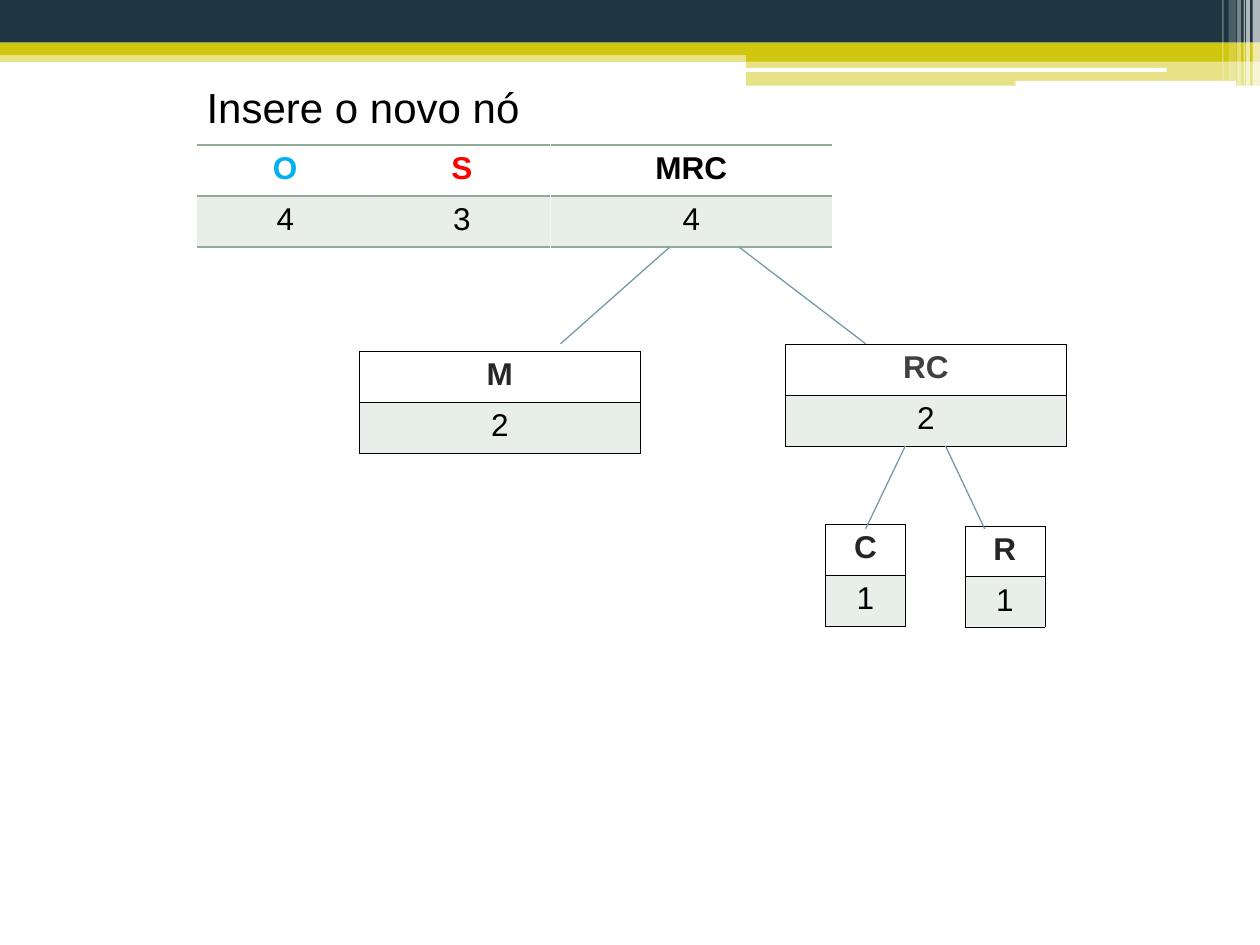
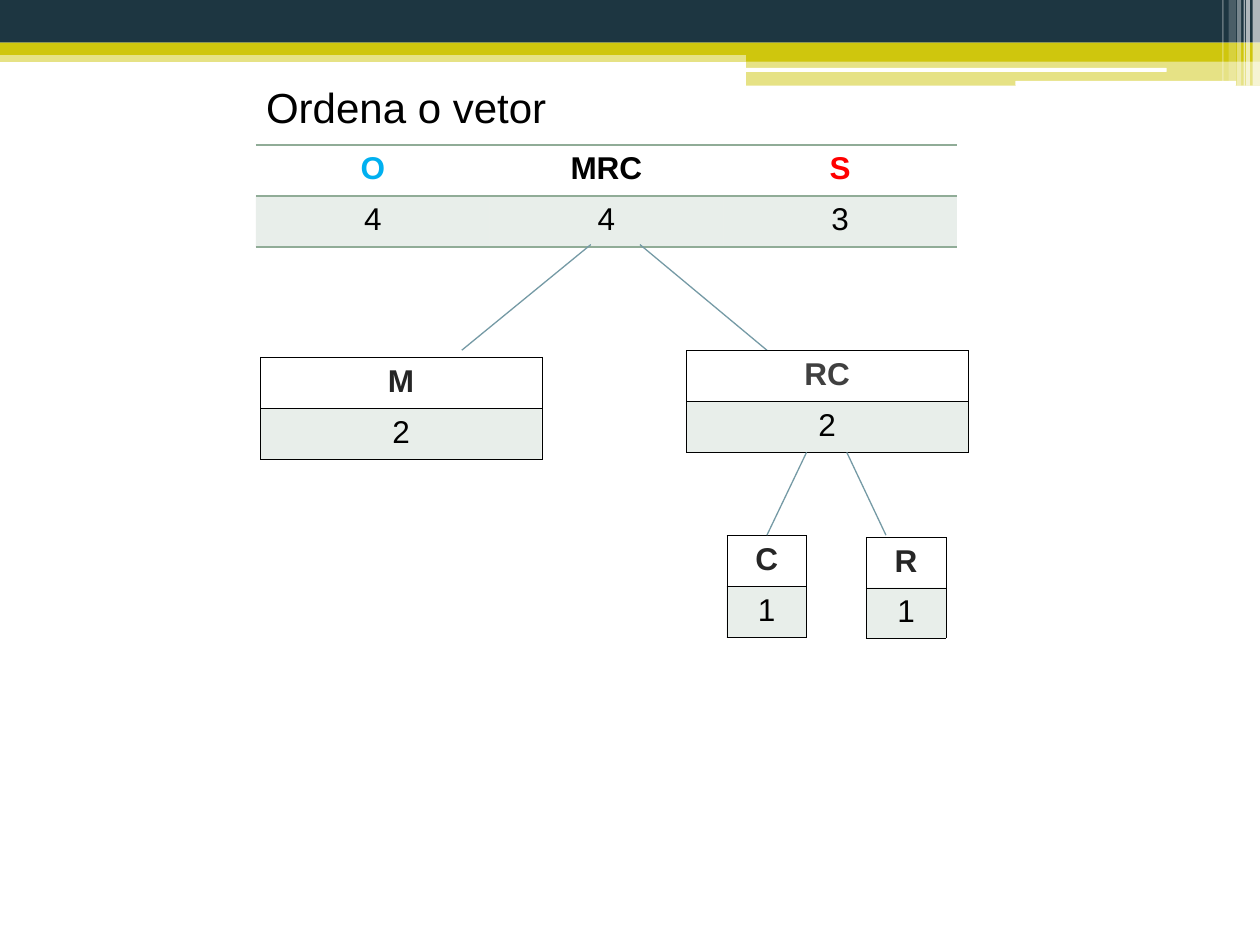
from dataclasses import dataclass

from lxml.etree import SubElement
from pptx import Presentation
from pptx.dml.color import RGBColor
from pptx.enum.shapes import MSO_CONNECTOR, MSO_SHAPE
from pptx.enum.text import MSO_ANCHOR, MSO_AUTO_SIZE, PP_ALIGN
from pptx.oxml import parse_xml
from pptx.oxml.ns import nsdecls, qn
from pptx.util import Cm, Pt


@dataclass(frozen=True)
class Theme:
    font: str = "Arial"
    title_size: int = 24
    cell_size: int = 18
    navy: str = "1D3641"
    lime: str = "CFC60D"
    sage: str = "90AC97"
    link: str = "759AA5"
    white: str = "FFFFFF"
    black: str = "000000"
    blue: str = "00B0F0"
    red: str = "FF0000"
    dark: str = "262626"
    grey: str = "404040"


T = Theme()
NO_GRID_STYLE = "{2D5ABB26-0587-4C30-8999-92F81FD0307C}"
ROW = 1.03           # table row height, cm
NODE_W, LEAF_W = 5.67, 1.61
VECTOR_TOP = 2.92

# Header decoration: left, top, width, height, colour, opacity
BANDS = [
    (0, 1.02, 25.4, 0.23, T.lime, 50),
    (0, 0, 25.4, 0.86, T.navy, 100),
    (0, 0.86, 25.4, 0.25, T.lime, 100),
    (15.04, 0.99, 10.36, 0.25, T.lime, 100),
    (15.04, 1.22, 10.36, 0.51, T.lime, 50),
]
PILLS = [(15.01, 1.37, 8.51, 0.08), (20.47, 1.63, 4.45, 0.1)]
# Right-hand stripes: left, width, height, opacity
STRIPES = [
    (25.25, 0.15, 1.73, 65), (25.12, 0.08, 1.73, 65), (25.07, 0.03, 1.73, 60),
    (24.94, 0.08, 1.73, 40), (24.77, 0.15, 1.63, 20), (24.64, 0.03, 1.63, 30),
]


def set_opacity(element, percent):
    for clr in element.iter(qn("a:srgbClr")):
        SubElement(clr, qn("a:alpha")).set("val", str(percent * 1000))


class Deck:
    def __init__(self):
        self.prs = Presentation()
        self.prs.slide_width, self.prs.slide_height = Cm(25.4), Cm(19.05)
        self.layout = self.prs.slide_layouts[5]
        self.s = None

    def new_slide(self, title, left):
        self.s = self.prs.slides.add_slide(self.layout)
        sp = self.s.shapes.title
        sp.left, sp.top, sp.width, sp.height = Cm(left), Cm(1.52), Cm(16), Cm(1.28)
        tf = sp.text_frame
        tf.text = title
        tf.vertical_anchor = MSO_ANCHOR.TOP
        tf.auto_size = MSO_AUTO_SIZE.SHAPE_TO_FIT_TEXT
        self.style(tf.paragraphs[0], PP_ALIGN.LEFT, T.title_size, T.black, False)

    def style(self, p, align, size, color, bold):
        p.alignment = align
        for r in p.runs:
            r.font.name, r.font.size, r.font.bold = T.font, Pt(size), bold
            r.font.color.rgb = RGBColor.from_string(color)

    def bar(self, left, top, width, height, color, opacity=100, kind=MSO_SHAPE.RECTANGLE):
        sp = self.s.shapes.add_shape(kind, Cm(left), Cm(top), Cm(width), Cm(height))
        sp.shadow.inherit = False
        sp.fill.solid()
        sp.fill.fore_color.rgb = RGBColor.from_string(color)
        sp.line.fill.background()
        if opacity < 100:
            set_opacity(sp.element, opacity)
        return sp

    def header(self):
        """Draw the decoration and move it to the shared layout."""
        bars = [self.bar(*band) for band in BANDS]
        bars += [self.bar(*pill, T.white, kind=MSO_SHAPE.ROUNDED_RECTANGLE) for pill in PILLS]
        bars += [self.bar(x, 0, w, h, T.white, opacity) for x, w, h, opacity in STRIPES]
        for i, sp in enumerate(bars):
            sp.element.xpath(".//p:cNvPr")[0].set("id", str(100 + i))
            self.layout.shapes.element.append(sp.element)

    def table(self, left, top, col_w, columns, sides, border, border_pt, row_h=ROW):
        """Columns are (symbol, colour, frequency)."""
        frame = self.s.shapes.add_table(2, len(columns), Cm(left), Cm(top),
                                        Cm(col_w * len(columns)), Cm(2 * row_h))
        tbl = frame.table
        tbl.first_row = tbl.horz_banding = False
        frame.element.xpath(".//a:tableStyleId")[0].text = NO_GRID_STYLE
        for row in tbl.rows:
            row.height = Cm(row_h)
        for c, (symbol, color, count) in enumerate(columns):
            tbl.columns[c].width = Cm(col_w)
            self.cell(tbl.cell(0, c), symbol, color, True, sides, border, border_pt)
            self.cell(tbl.cell(1, c), str(count), T.black, False, sides, border, border_pt)

    def cell(self, cell, text, color, is_head, sides, border, border_pt):
        cell.text_frame.text = text
        self.style(cell.text_frame.paragraphs[0], PP_ALIGN.CENTER, T.cell_size, color, is_head)
        if is_head:
            cell.fill.background()
        else:
            cell.fill.solid()
            cell.fill.fore_color.rgb = RGBColor.from_string(T.sage)
        tcPr = cell._tc.get_or_add_tcPr()
        set_opacity(tcPr, 20)
        for i, side in enumerate(sides):
            tcPr.insert(i, parse_xml(
                f'<a:ln{side} {nsdecls("a")} w="{Pt(border_pt)}"><a:solidFill>'
                f'<a:srgbClr val="{border}"/></a:solidFill></a:ln{side}>'))

    def vector(self, left, col_w, columns):
        self.table(left, VECTOR_TOP, col_w, columns, "TB", T.sage, 1)

    def node(self, left, top, width, symbol, color, count, row_h=ROW):
        self.table(left, top, width, [(symbol, color, count)], "LRTB", T.black, 0.25, row_h)

    def link(self, x1, y1, x2, y2):
        ln = self.s.shapes.add_connector(MSO_CONNECTOR.STRAIGHT, Cm(x1), Cm(y1), Cm(x2), Cm(y2))
        ln.line.color.rgb = RGBColor.from_string(T.link)
        ln.line.width = Pt(0.75)
        SubElement(ln.element.spPr, qn("a:effectLst"))

    def tree(self, x, y, root_y, root_xs, leaf_drop):
        """Subtrees of MRC; x, y is the corner of node RC."""
        self.node(x - 8.59, y + 0.14, NODE_W, "M", T.dark, 2)
        for root_x, end in zip(root_xs, (-4.53, 1.62)):
            self.link(root_x, root_y, x + end, y)
        self.node(x, y, NODE_W, "RC", T.grey, 2)
        self.node(x + 0.81, y + leaf_drop, LEAF_W, "C", T.dark, 1)
        self.node(x + 3.62, y + leaf_drop + 0.04, LEAF_W, "R", T.dark, 1, row_h=1)
        for start, end in ((2.42, 1.62), (3.23, 4.02)):
            self.link(x + start, y + 2 * ROW, x + end, y + 3.73)


def main():
    deck = Deck()
    o, s, mrc = ("O", T.blue, 4), ("S", T.red, 3), ("MRC", T.black, 4)

    # Insert the new node
    deck.new_slide("Insere o novo nó", 3.91)
    deck.header()
    deck.vector(11.1, NODE_W, [mrc])
    deck.vector(3.97, 3.56, [o, s])
    deck.tree(15.83, 6.93, 4.99, (13.49, 14.91), 3.63)

    # Sort the vector
    deck.new_slide("Ordena o vetor", 5.11)
    deck.vector(5.16, 4.71, [o, mrc, s])
    deck.tree(13.84, 7.06, 4.93, (11.91, 12.9), 3.73)

    deck.prs.save("out.pptx")


if __name__ == "__main__":
    main()
